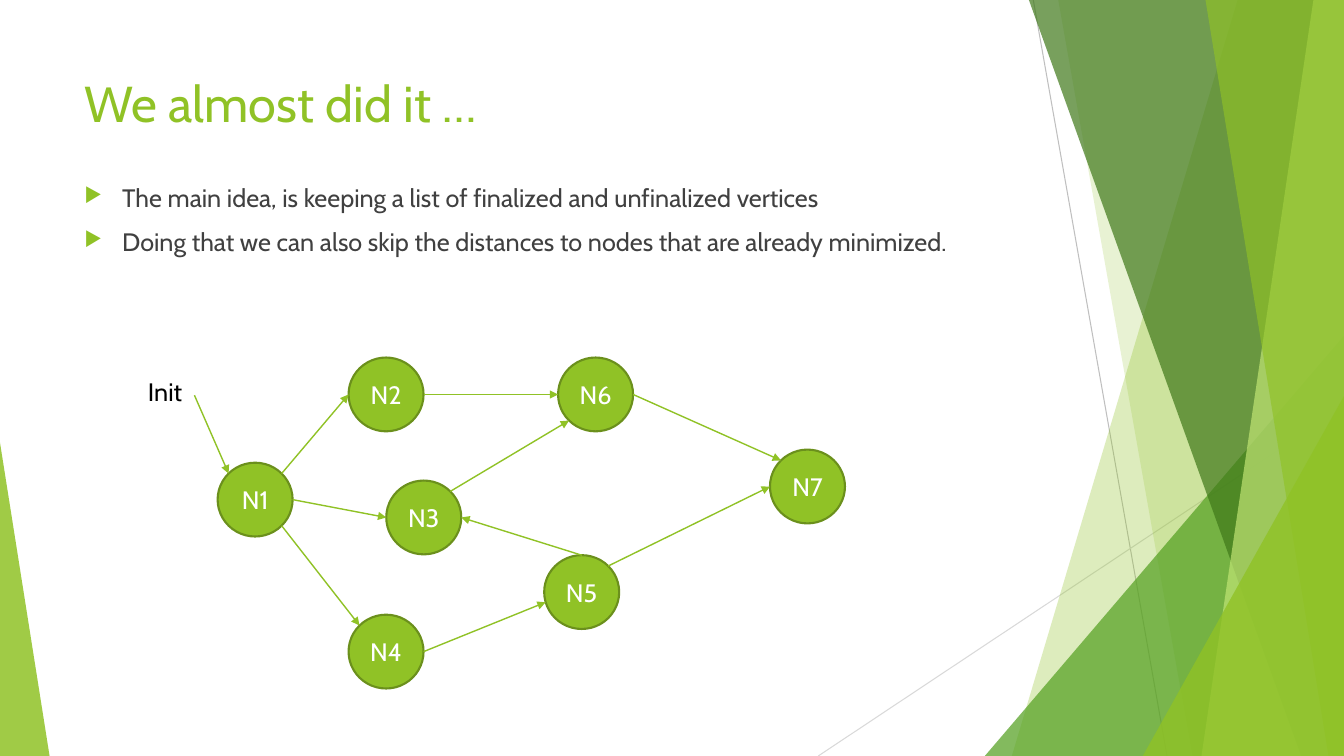
from math import cos, radians, sin

from lxml import etree
from pptx import Presentation
from pptx.dml.color import RGBColor
from pptx.enum.shapes import MSO_CONNECTOR, MSO_SHAPE
from pptx.enum.text import MSO_ANCHOR, PP_ALIGN
from pptx.oxml.ns import qn
from pptx.util import Cm, Pt

STRAIGHT = MSO_CONNECTOR.STRAIGHT
OVAL = MSO_SHAPE.OVAL
TRIANGLE = MSO_SHAPE.ISOSCELES_TRIANGLE
TOP, MIDDLE = MSO_ANCHOR.TOP, MSO_ANCHOR.MIDDLE
LEFT, CENTER = PP_ALIGN.LEFT, PP_ALIGN.CENTER

LIME = RGBColor(0x90, 0xC2, 0x26)
LEAF = RGBColor(0x54, 0xA0, 0x21)
FOREST = RGBColor(0x3F, 0x78, 0x19)
PALE = RGBColor(0xC0, 0xE4, 0x74)
OLIVE = RGBColor(0x6B, 0x90, 0x1C)
SILVER = RGBColor(0xBF, 0xBF, 0xBF)
MIST = RGBColor(0xD9, 0xD9, 0xD9)
DARK = RGBColor(0x40, 0x40, 0x40)
BLACK = RGBColor(0, 0, 0)
WHITE = RGBColor(0xFF, 0xFF, 0xFF)

FONT = "Cabin"
SLIDE_W, SLIDE_H = 33.87, 19.05
NODE_W, NODE_H = 1.89, 1.86

NODES = {
    "N1": (6.43, 12.59),
    "N2": (9.73, 9.94),
    "N3": (10.68, 13.04),
    "N4": (9.73, 16.42),
    "N6": (15.01, 9.94),
    "N5": (14.66, 14.92),
    "N7": (20.35, 12.26),
}
EDGES = [
    ("N1", 45, "N2", 180),
    ("N1", 0, "N3", 180),
    ("N1", -45, "N4", 135),
    ("N2", 0, "N6", 180),
    ("N3", 45, "N6", 225),
    ("N4", 0, "N5", 196),
    ("N5", 45, "N7", 180),
    ("N6", 0, "N7", 135),
    ("N5", 90, "N3", 0),
]
IDEAS = [
    "The main idea, is keeping a list of finalized and unfinalized vertices",
    "Doing that we can also skip the distances to nodes that are already minimized.",
]


def add_line(s, start, end, color, width, arrow=False):
    sp = s.shapes.add_connector(STRAIGHT, *map(Cm, start + end))
    sp.line.color.rgb = color
    sp.line.width = Pt(width)
    if arrow:
        ln = sp.line._get_or_add_ln()
        etree.SubElement(ln, qn("a:tailEnd"), type="triangle")
    etree.SubElement(sp._element.spPr, qn("a:effectLst"))


def paint(sp, color, alpha):
    sp.shadow.inherit = False
    sp.fill.solid()
    sp.fill.fore_color.rgb = color
    sp.line.fill.background()
    clr = sp._element.spPr.find(qn("a:solidFill"))[0]
    etree.SubElement(clr, qn("a:alpha"), val=str(alpha * 1000))


def add_shard(s, top_x, bottom_x, color, alpha):
    fb = s.shapes.build_freeform(Cm(top_x), 0)
    corners = [(SLIDE_W, 0), (SLIDE_W, SLIDE_H), (bottom_x, SLIDE_H)]
    fb.add_line_segments([(Cm(x), Cm(y)) for x, y in corners])
    paint(fb.convert_to_shape(), color, alpha)


def add_triangle(s, x, width, height, apex, color, alpha):
    sp = s.shapes.add_shape(
        TRIANGLE, Cm(x), Cm(SLIDE_H - height), Cm(width), Cm(height))
    sp.adjustments[0] = apex
    paint(sp, color, alpha)


def add_run(p, text, size, color):
    r = p.add_run()
    r.text = text
    r.font.name = FONT
    r.font.size = Pt(size)
    r.font.color.rgb = color


def add_text(s, box, lines, size, color, bulleted=False):
    tf = s.shapes.add_textbox(*map(Cm, box)).text_frame
    tf.word_wrap = True
    tf.vertical_anchor = TOP
    for i, text in enumerate(lines):
        p = tf.add_paragraph() if i else tf.paragraphs[0]
        p.alignment = LEFT
        if bulleted:
            add_bullet(p)
        add_run(p, text, size, color)


def add_bullet(p):
    p.space_before = Pt(10)
    pPr = p._p.get_or_add_pPr()
    pPr.set("marL", str(Cm(0.95)))
    pPr.set("indent", str(-Cm(0.95)))
    clr = etree.SubElement(pPr, qn("a:buClr"))
    etree.SubElement(clr, qn("a:srgbClr"), val=str(LIME))
    etree.SubElement(pPr, qn("a:buSzPct"), val="80000")
    etree.SubElement(pPr, qn("a:buChar"), char="▶")


def add_node(s, name):
    x, y = NODES[name]
    sp = s.shapes.add_shape(
        OVAL, Cm(x - NODE_W / 2), Cm(y - NODE_H / 2), Cm(NODE_W), Cm(NODE_H))
    sp.shadow.inherit = False
    sp.fill.solid()
    sp.fill.fore_color.rgb = LIME
    sp.line.color.rgb = OLIVE
    sp.line.width = Pt(1.5)
    tf = sp.text_frame
    tf.vertical_anchor = MIDDLE
    p = tf.paragraphs[0]
    p.alignment = CENTER
    add_run(p, name, 18, WHITE)


def rim(name, angle):
    x, y = NODES[name]
    a = radians(angle)
    return x + NODE_W / 2 * cos(a), y - NODE_H / 2 * sin(a)


def add_backdrop(s):
    add_line(s, (26.04, 0), (29.41, SLIDE_H), SILVER, 0.75)
    add_line(s, (SLIDE_W, 10.24), (20.62, SLIDE_H), MIST, 0.75)
    add_shard(s, 31.19, 25.5, LIME, 30)
    add_shard(s, 26.67, 30.05, LIME, 20)
    add_triangle(s, 24.82, 9.05, 10.59, 1, LEAF, 72)
    add_shard(s, 25.93, 32.79, FOREST, 70)
    add_shard(s, 33.1, 30.28, PALE, 70)
    add_shard(s, 30.38, 33.48, LIME, 65)
    add_triangle(s, 28.8, 5.07, 9.07, 1, LIME, 80)
    add_triangle(s, 0, 1.25, 7.9, 0, LIME, 85)


def add_graph(s):
    for name in NODES:
        add_node(s, name)
    for source, leave, target, enter in EDGES:
        add_line(s, rim(source, leave), rim(target, enter), LIME, 1, True)
    add_line(s, (4.9, 9.96), rim("N1", 135), LIME, 1, True)
    add_text(s, (3.48, 9.35, 2.13, 1.04), ["Init"], 18, BLACK)


def main():
    prs = Presentation()
    prs.slide_width, prs.slide_height = Cm(SLIDE_W), Cm(SLIDE_H)
    s = prs.slides.add_slide(prs.slide_layouts[6])
    add_backdrop(s)
    add_text(s, (1.88, 1.7, 23.88, 3.66), ["We almost did it …"], 36, LIME)
    add_text(s, (1.88, 4.47, 23.88, 12.88), IDEAS, 18, DARK, bulleted=True)
    add_graph(s)
    prs.save("out.pptx")


if __name__ == "__main__":
    main()
